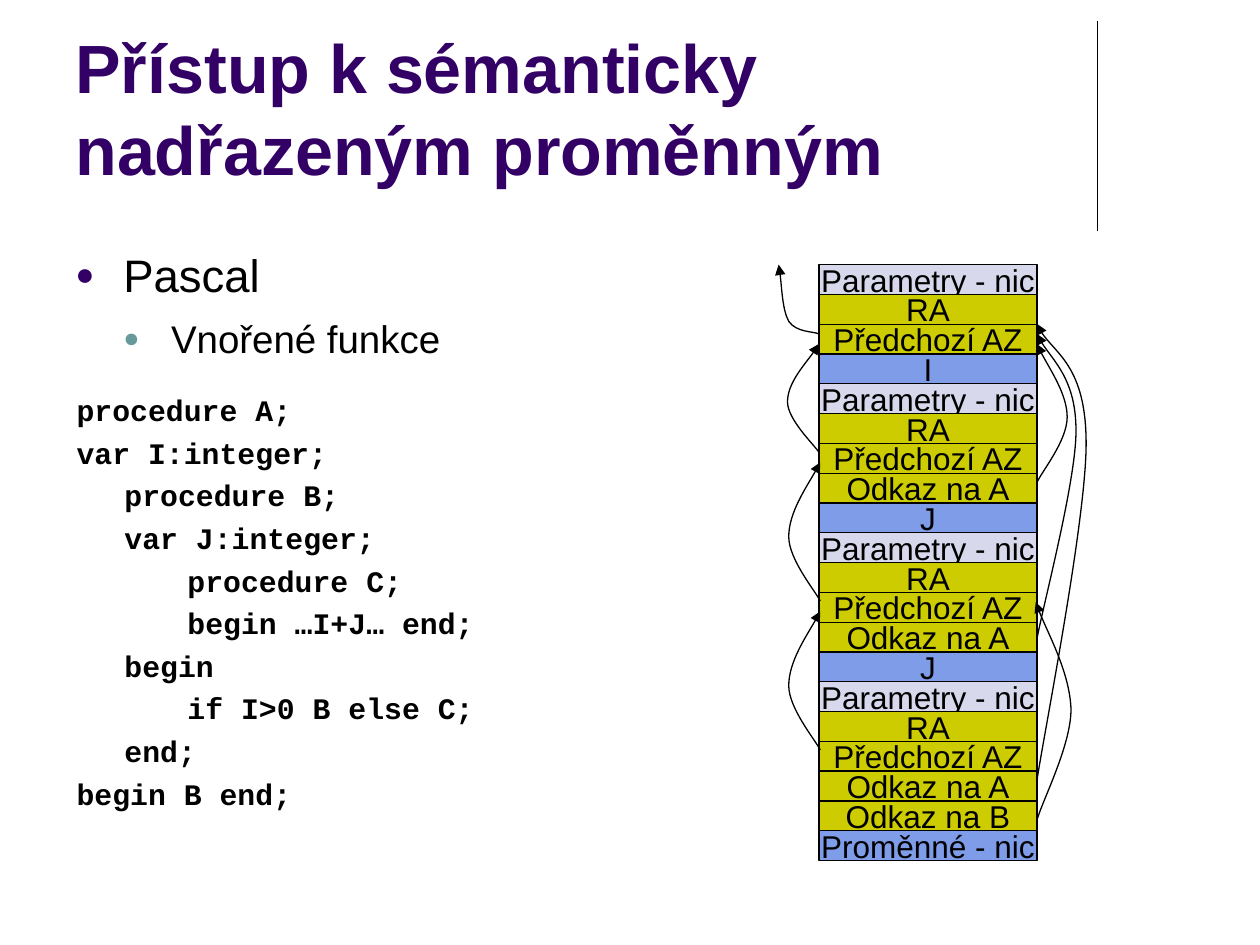
from lxml import etree
from pptx import Presentation
from pptx import util as u
from pptx.dml.color import RGBColor
from pptx.enum import shapes, text
from pptx.oxml import ns

COLORS = {
    "title": "330066", "ink": "000000", "subbullet": "669999",
    "params": "D8D8EC", "control": "CCCC00", "locals": "7E9CE8",
}
CODE = """procedure A;
var I:integer;
\tprocedure B;
\tvar J:integer;
\t\tprocedure C;
\t\tbegin …I+J… end;
\tbegin
\t\tif I>0 B else C;
\tend;
begin B end;"""

# Activation records from the top of the stack: links to outer records, then locals
RECORDS = [([], "I"), (["A"], "J"), (["A"], "J"), (["A", "B"], "Proměnné - nic")]
STACK_LEFT, STACK_TOP, STACK_WIDTH = 6.5, 2.1, 1.73
ROW = 4.73 / 20

# Each link is a start point and two cubic curves of three points
B_TO_A = [(6.5, 3.59), (6.46, 3.53), (6.25, 3.33), (6.25, 3.19),
          (6.25, 3.04), (6.45, 2.82), (6.5, 2.73)]
C_TO_B = [(6.51, 4.77), (6.47, 4.69), (6.26, 4.44), (6.26, 4.26),
          (6.26, 4.07), (6.45, 3.79), (6.51, 3.67)]
LINKS = [
    [(6.5, 2.65), (6.46, 2.63), (6.32, 2.64), (6.26, 2.55),
     (6.21, 2.46), (6.2, 2.19), (6.18, 2.1)],
    B_TO_A,
    C_TO_B,
    [(x, y + 5 * ROW) for x, y in C_TO_B],
    [(8.23, 3.83), (8.27, 3.74), (8.47, 3.5), (8.47, 3.31),
     (8.47, 3.13), (8.28, 2.85), (8.23, 2.73)],
    [(8.23, 5.07), (8.28, 4.8), (8.54, 3.82), (8.54, 3.42),
     (8.54, 3.01), (8.3, 2.81), (8.23, 2.65)],
    [(8.23, 6.19), (8.3, 5.75), (8.62, 4.12), (8.62, 3.52),
     (8.62, 2.91), (8.31, 2.77), (8.23, 2.57)],
    [(8.23, 6.51), (8.27, 6.36), (8.5, 5.92), (8.5, 5.63),
     (8.49, 5.34), (8.28, 4.96), (8.22, 4.78)],
]


def rgb(name):
    return RGBColor.from_string(COLORS[name])


def child(parent, tag, **attributes):
    return etree.SubElement(parent, ns.qn(tag), attributes)


def write(frame, content, size, color="ink", font="Arial", bold=False, align=None,
          before=0, spacing=None, margin=None, bullet=None, level=0, tabs=()):
    """Add one paragraph, filling the empty first one if there is no text yet."""
    first = not frame.text
    paragraph = frame.paragraphs[0] if first else frame.add_paragraph()
    paragraph.level = level
    paragraph.alignment = align
    paragraph.line_spacing = spacing
    paragraph.space_before = u.Pt(0 if first else before)
    properties = paragraph._p.get_or_add_pPr()
    if margin:
        properties.set("marL", str(u.Inches(margin)))
        properties.set("indent", str(u.Inches(-0.38)))
    if bullet:
        child(child(properties, "a:buClr"), "a:srgbClr", val=COLORS[bullet])
        child(properties, "a:buSzPct", val="70000")
        child(properties, "a:buFont", typeface="Arial")
        child(properties, "a:buChar", char="●")
    if tabs:
        stops = child(properties, "a:tabLst")
        for stop in tabs:
            child(stops, "a:tab", pos=str(u.Inches(stop)), algn="l")
    run = paragraph.add_run()
    run.text = content
    run.font.size, run.font.name, run.font.bold = u.Pt(size), font, bold
    run.font.color.rgb = rgb(color)


class StackSlide:
    def __init__(self, slide):
        self.shapes = slide.shapes
        self.ink = rgb("ink")
        self.stroke = u.Pt(0.75)

    def outline(self, item):
        item.line.color.rgb = self.ink
        item.line.width = self.stroke

    def box(self, left, top, width, height, anchor=text.MSO_ANCHOR.TOP, inset=0.05):
        frame = self.shapes.add_textbox(*map(u.Inches, (left, top, width, height))).text_frame
        frame.word_wrap = True
        frame.vertical_anchor = anchor
        frame.margin_top = u.Inches(inset)
        return frame

    def rule(self, x, top, bottom):
        line = self.shapes.add_connector(
            shapes.MSO_CONNECTOR.STRAIGHT, *map(u.Inches, (x, top, x, bottom)))
        self.outline(line)
        child(line._element.spPr, "a:effectLst")

    def cell(self, row, label, fill):
        cell = self.shapes.add_shape(
            shapes.MSO_SHAPE.RECTANGLE,
            *map(u.Inches, (STACK_LEFT, STACK_TOP + row * ROW, STACK_WIDTH, ROW)))
        cell.shadow.inherit = False
        cell.fill.solid()
        cell.fill.fore_color.rgb = rgb(fill)
        self.outline(cell)
        cell.text_frame.word_wrap = False
        cell.text_frame.vertical_anchor = text.MSO_ANCHOR.MIDDLE
        write(cell.text_frame, label, 18, align=text.PP_ALIGN.CENTER)

    def link(self, points):
        start, *rest = [(u.Inches(x), u.Inches(y)) for x, y in points]
        builder = self.shapes.build_freeform(*start)
        builder.add_line_segments(rest, close=False)
        curve = builder.convert_to_shape()
        curve.shadow.inherit = False
        curve.fill.background()
        self.outline(curve)
        # Turn every three straight segments into one cubic curve
        segments = list(curve._element.iter(ns.qn("a:lnTo")))
        for i in range(0, len(segments), 3):
            bezier = child(segments[i].getparent(), "a:cubicBezTo")
            for segment in segments[i:i + 3]:
                bezier.append(segment[0])
                segment.getparent().remove(segment)
        child(curve.line._get_or_add_ln(), "a:tailEnd", type="triangle")


def main():
    deck = Presentation()
    deck.slide_width, deck.slide_height = u.Inches(10), u.Inches(7.5)
    page = StackSlide(deck.slides.add_slide(deck.slide_layouts[6]))

    # Heading
    page.rule(8.71, 0.17, 1.83)
    title = page.box(0.5, 0.13, 8.25, 1.42, anchor=text.MSO_ANCHOR.BOTTOM)
    write(title, "Přístup k sémanticky nadřazeným proměnným", 39, "title", bold=True)

    # Topic
    topic = page.box(0.5, 1.88, 4.42, 1, inset=0.08)
    write(topic, "Pascal", 26, margin=0.38, bullet="title")
    write(topic, "Vnořené funkce", 22, margin=0.76, bullet="subbullet", level=1, before=8)

    # Program
    program = page.box(0.51, 3.04, 3.94, 4.09, inset=0.1)
    for line in CODE.splitlines():
        write(program, line, 17, font="Courier New", bold=True, before=6,
              spacing=0.9, margin=0.38, tabs=range(8))

    # Stack of activation records
    rows = []
    for outer, variables in RECORDS:
        rows += [("Parametry - nic", "params"), ("RA", "control"), ("Předchozí AZ", "control")]
        rows += [(f"Odkaz na {name}", "control") for name in outer]
        rows.append((variables, "locals"))
    for row, (label, fill) in enumerate(rows):
        page.cell(row, label, fill)

    # Links between the records
    for points in LINKS:
        page.link(points)

    deck.save("out.pptx")


if __name__ == "__main__":
    main()
